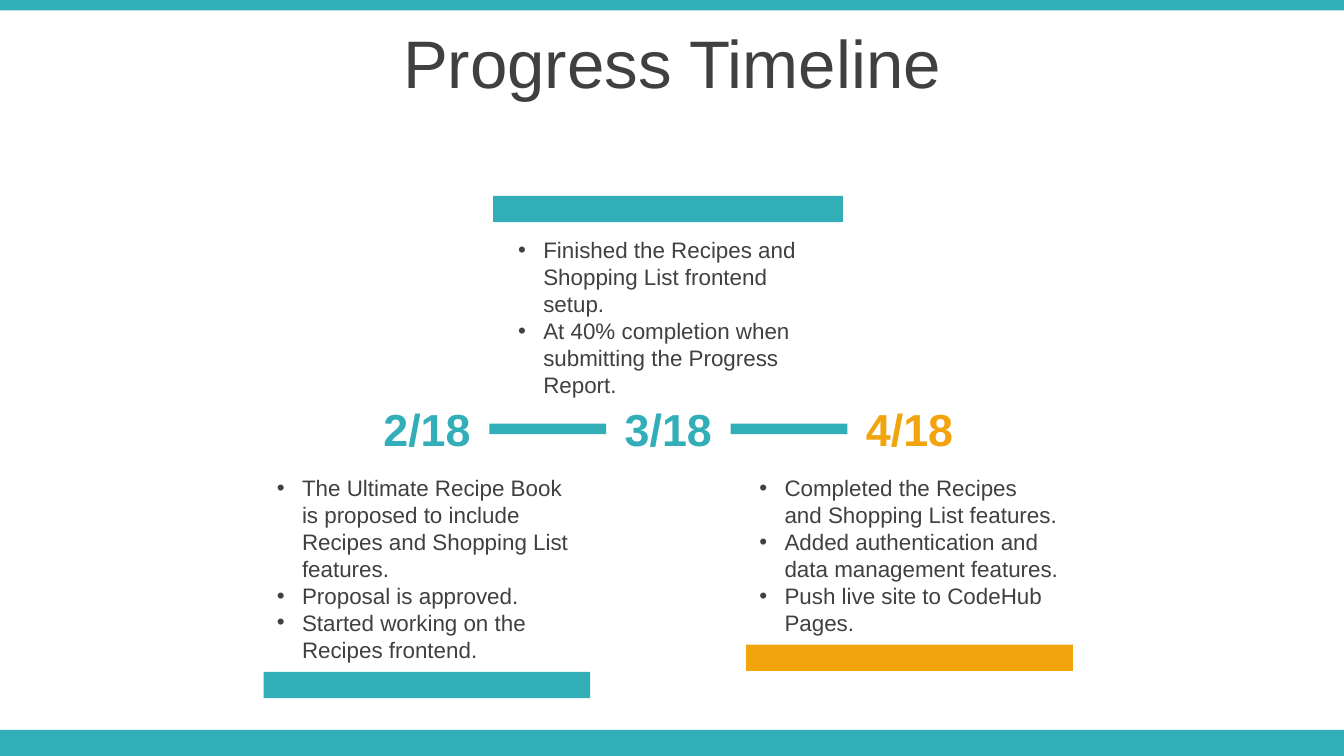
"""Build the Progress Timeline slide with three dated milestones."""
from lxml import etree
from pptx import Presentation
from pptx.dml.color import RGBColor
from pptx.enum.shapes import MSO_SHAPE
from pptx.enum.text import MSO_ANCHOR, MSO_AUTO_SIZE, PP_ALIGN
from pptx.oxml.ns import qn
from pptx.util import Pt

RECTANGLE = MSO_SHAPE.RECTANGLE
MIDDLE, TOP = MSO_ANCHOR.MIDDLE, MSO_ANCHOR.TOP
CENTER, LEFT = PP_ALIGN.CENTER, PP_ALIGN.LEFT
NO_AUTO_SIZE = MSO_AUTO_SIZE.NONE
TEAL, ORANGE, GRAY = "32AEB8", "F2A40D", "404040"
INDENT = Pt(13.5)
STEP = 129.25


def add_bar(left, top, width, height, color):
    bar = slide.shapes.add_shape(RECTANGLE, Pt(left), Pt(top), Pt(width), Pt(height))
    bar.shadow.inherit = False
    bar.fill.solid()
    bar.fill.fore_color.rgb = RGBColor.from_string(color)
    bar.line.fill.background()


def write_text(shape, lines, size=12, color=GRAY, bold=False, align=LEFT, anchor=TOP, bullet=None):
    frame = shape.text_frame
    frame.word_wrap = True
    frame.auto_size = NO_AUTO_SIZE
    frame.vertical_anchor = anchor
    frame.text = "\n".join(lines)
    for paragraph in frame.paragraphs:
        paragraph.alignment = align
        if bullet:
            properties = paragraph._p.get_or_add_pPr()
            properties.set("marL", str(INDENT))
            properties.set("indent", str(-INDENT))
            etree.SubElement(properties, qn("a:buFont")).set("typeface", "Arial")
            etree.SubElement(properties, qn("a:buChar")).set("char", bullet)
        for run in paragraph.runs:
            run.font.name = "Arial"
            run.font.size = Pt(size)
            run.font.bold = bold
            run.font.color.rgb = RGBColor.from_string(color)


presentation = Presentation()
presentation.slide_width, presentation.slide_height = Pt(720), Pt(405)
slide = presentation.slides.add_slide(presentation.slide_layouts[5])

add_bar(0, 391, 720, 14, TEAL)
add_bar(0, 0, 720, 5.6, TEAL)

title = slide.shapes.title
title.left, title.top, title.width, title.height = Pt(0), Pt(10.1), Pt(720), Pt(45.4)
write_text(title, ["Progress Timeline"], size=36, align=CENTER, anchor=MIDDLE)

milestones = [
    ("2/18", TEAL, 250.6, 123.8, (141.25, 360, 175), [
        "The Ultimate Recipe Book is proposed to include Recipes and Shopping List features.",
        "Proposal is approved.",
        "Started working on the Recipes frontend.",
    ]),
    ("3/18", TEAL, 123.1, 94.3, (264.2, 105, 187.4), [
        "Finished the Recipes and Shopping List frontend setup.",
        "At 40% completion when submitting the Progress Report.",
    ]),
    ("4/18", ORANGE, 250.6, 94.3, (399.75, 345.4, 175), [
        "Completed the Recipes and Shopping List features.",
        "Added authentication and data management features.",
        "Push live site to CodeHub Pages.",
    ]),
]

for index, (date, color, top, height, bar, tasks) in enumerate(milestones):
    offset = index * STEP
    date_box = slide.shapes.add_textbox(Pt(192.4 + offset), Pt(211.7), Pt(72.7), Pt(36))
    write_text(date_box, [date], size=24, color=color, bold=True, align=CENTER)
    if index < len(milestones) - 1:
        add_bar(262.2 + offset, 227, 62.5, 5.6, TEAL)
    task_box = slide.shapes.add_textbox(Pt(141.25 + offset), Pt(top), Pt(175), Pt(height))
    write_text(task_box, tasks, bullet="•")
    bar_left, bar_top, bar_width = bar
    add_bar(bar_left, bar_top, bar_width, 14.1, color)

presentation.save("out.pptx")
